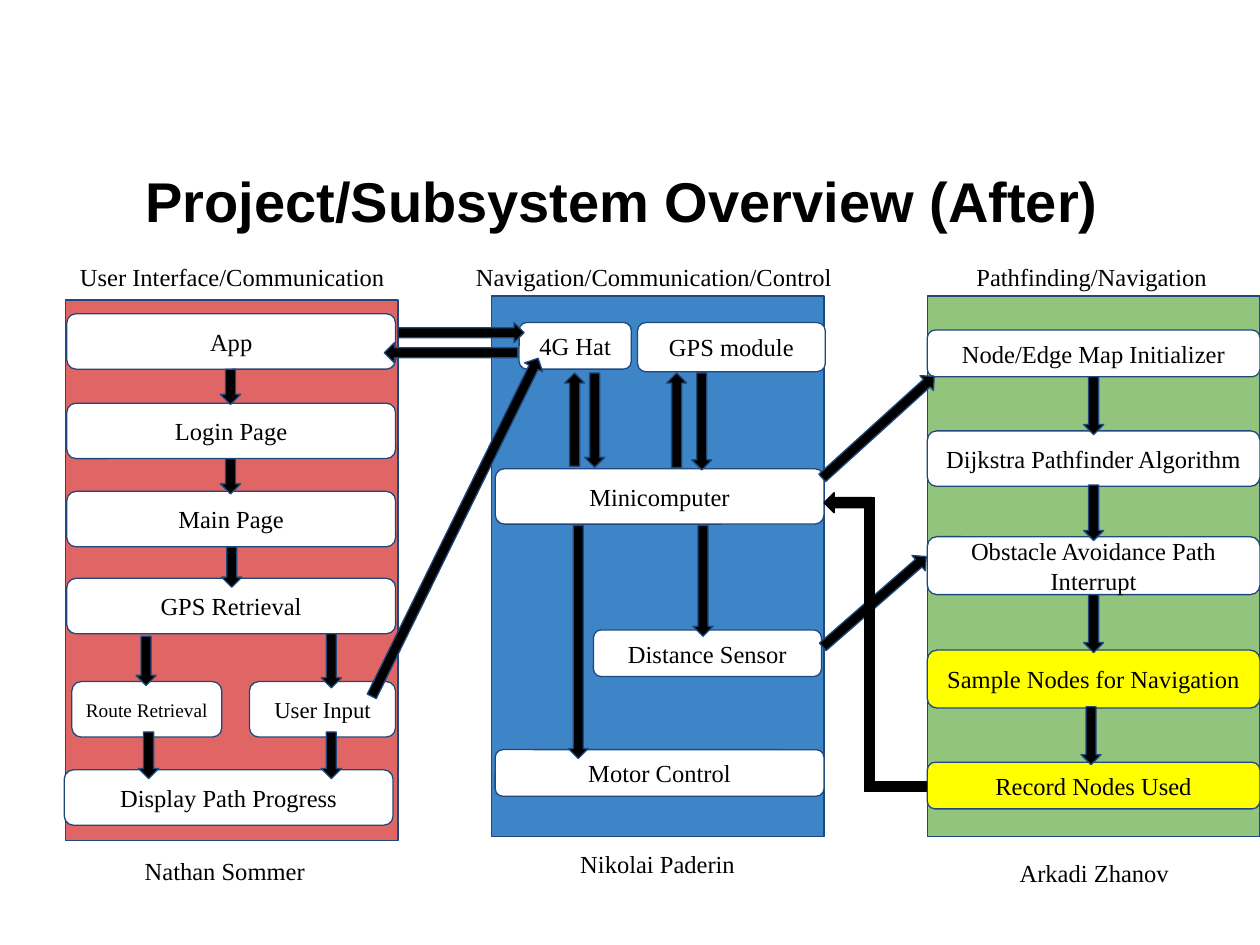
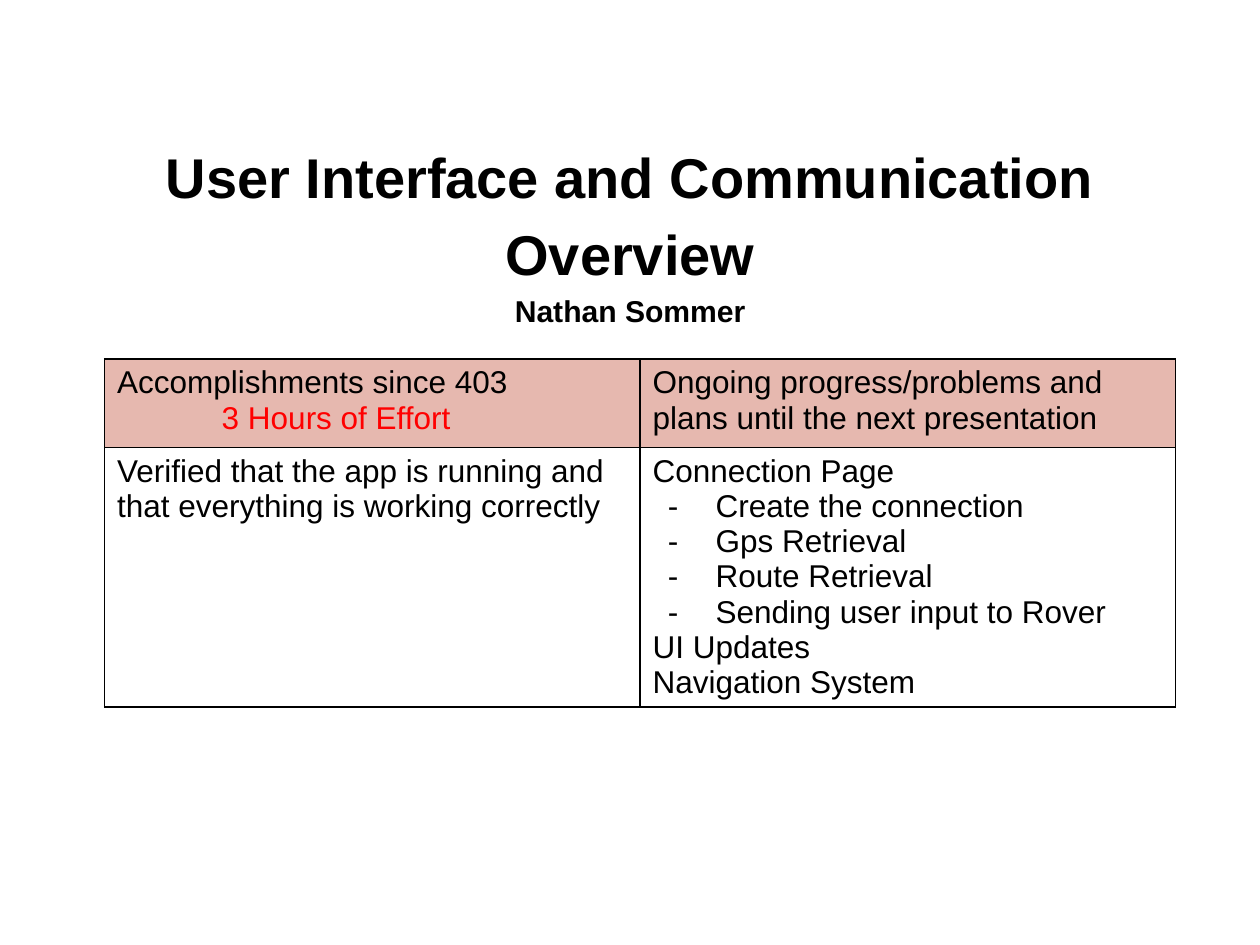
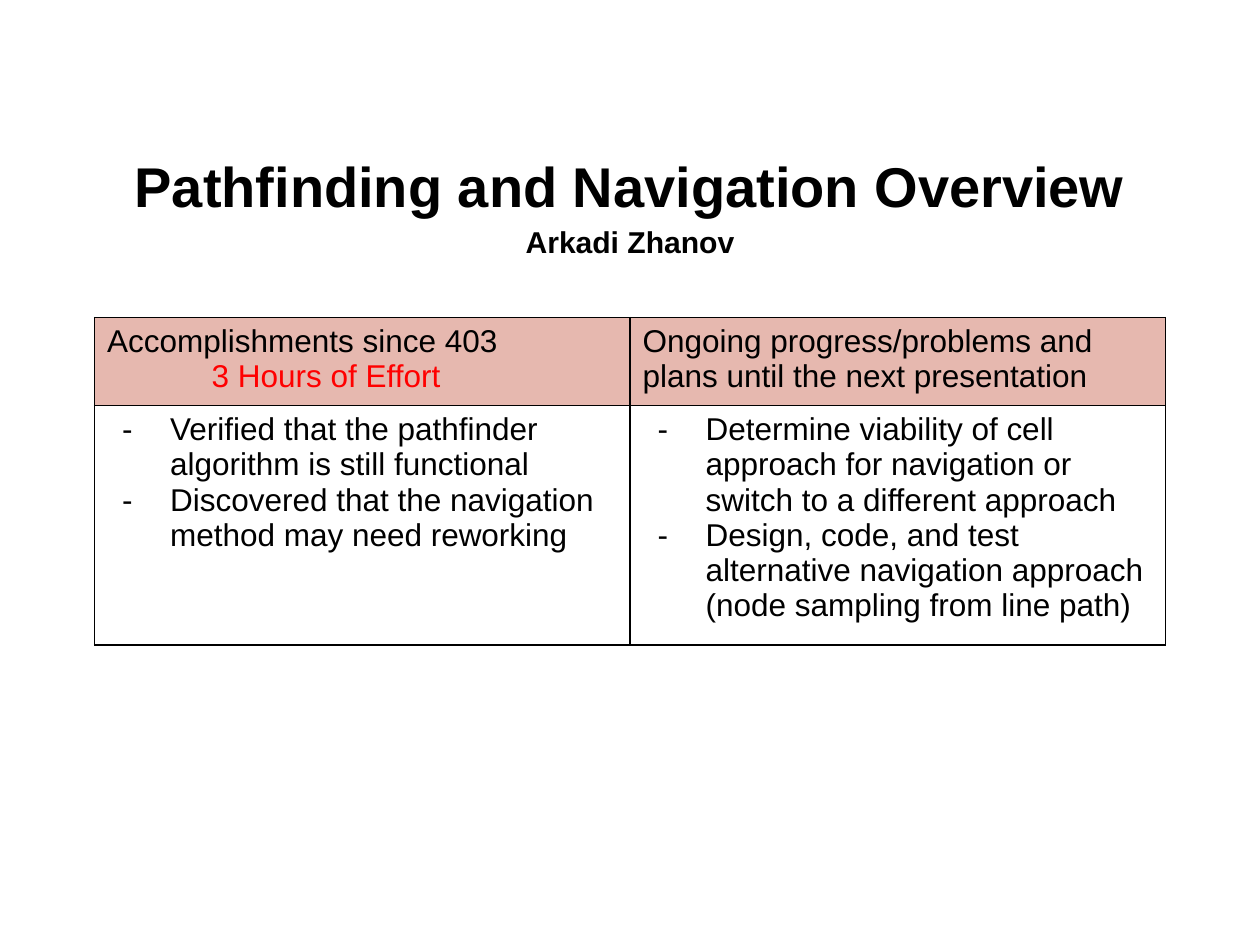
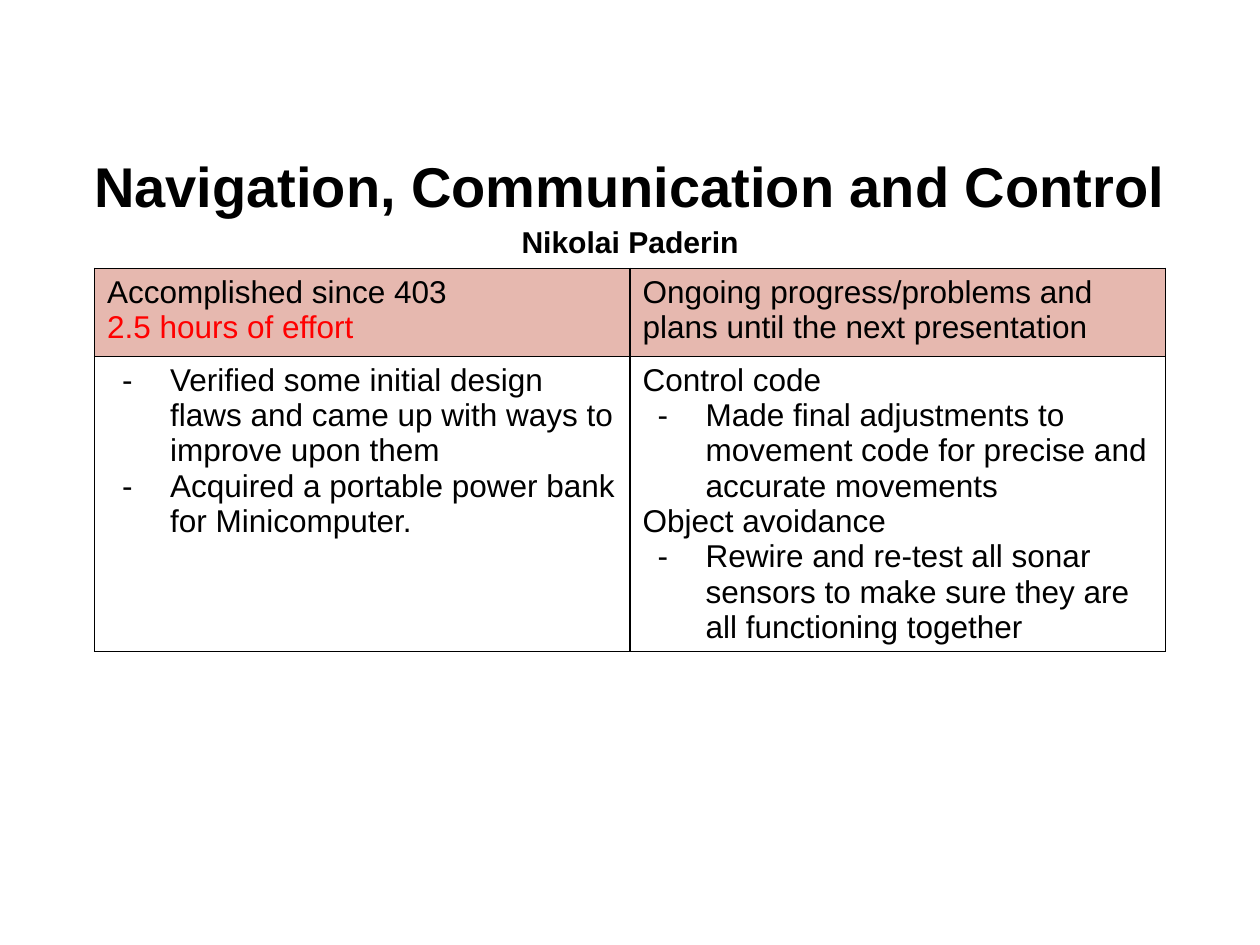
from lxml import etree
from pptx import Presentation
from pptx.dml.color import RGBColor
from pptx.enum.shapes import MSO_SHAPE as Kind
from pptx.enum.text import MSO_ANCHOR as Anchor, MSO_AUTO_SIZE as Fit, PP_ALIGN as Align
from pptx.oxml.ns import qn
from pptx.util import Inches, Pt

BLACK, WHITE, NAVY = "000000", "FFFFFF", "1F497D"
RED, YELLOW, PINK = "FF0000", "FFFF00", "E6B8AF"
SANS, SERIF = "Arial", "Times New Roman"

LANES = [
    ("E06666", 0.52, 2.38),
    ("3D85C6", 3.9, 2.35),
    ("93C47D", 7.36, 2.35),
]
LANE_SIZE = (2.64, 4.29)

LABELS = [
    ("User Interface/Communication", 0.43, 1.98, 2.83),
    ("Navigation/Communication/Control", 3.44, 1.98, 3.5),
    ("Pathfinding/Navigation", 7.36, 1.98, 2.61),
    ("Nathan Sommer", 0.43, 6.69, 2.71),
    ("Nikolai Paderin", 3.9, 6.64, 2.64),
    ("Arkadi Zhanov", 7.38, 6.71, 2.61),
]

STEPS = [
    ("App", 0.53, 2.49, 2.61, 0.44, WHITE, 14),
    ("Login Page", 0.53, 3.2, 2.61, 0.44, WHITE, 14),
    ("Main Page", 0.53, 3.9, 2.61, 0.44, WHITE, 14),
    ("GPS Retrieval", 0.53, 4.59, 2.61, 0.44, WHITE, 14),
    ("Route Retrieval", 0.57, 5.41, 1.19, 0.44, WHITE, 11),
    ("User Input", 1.98, 5.41, 1.16, 0.44, WHITE, 13),
    ("Display Path Progress", 0.51, 6.11, 2.61, 0.44, WHITE, 14),
    ("4G Hat", 4.12, 2.56, 0.89, 0.37, WHITE, 14),
    ("GPS module", 5.06, 2.56, 1.49, 0.39, WHITE, 14),
    ("Minicomputer", 3.93, 3.72, 2.61, 0.44, WHITE, 14),
    ("Distance Sensor", 4.71, 5, 1.81, 0.37, WHITE, 14),
    ("Motor Control", 3.93, 5.95, 2.61, 0.37, WHITE, 14),
    ("Node/Edge Map Initializer", 7.36, 2.62, 2.64, 0.37, WHITE, 14),
    ("Dijkstra Pathfinder Algorithm", 7.36, 3.42, 2.64, 0.44, WHITE, 14),
    ("Obstacle Avoidance Path Interrupt", 7.36, 4.26, 2.64, 0.46, WHITE, 14),
    ("Sample Nodes for Navigation", 7.36, 5.16, 2.64, 0.46, YELLOW, 14),
    ("Record Nodes Used", 7.36, 6.05, 2.64, 0.37, YELLOW, 14),
]

ARROW = 0.16
ARROWS = [
    (1.75, 2.93, 0.28, 0),
    (1.75, 3.64, 0.28, 0),
    (1.76, 4.34, 0.32, 0),
    (1.08, 5.05, 0.39, 0),
    (2.55, 5.03, 0.43, 0),
    (1.1, 5.81, 0.37, 0),
    (2.55, 5.81, 0.37, 0),
    (3.58, 2.14, 1, 270),
    (3.5, 2.27, 1.06, 90),
    (3.53, 2.69, 2.99, 206.2),
    (4.48, 2.96, 0.74, 180),
    (4.64, 2.96, 0.75, 0),
    (5.29, 2.96, 0.75, 180),
    (5.49, 2.96, 0.77, 0),
    (4.51, 4.17, 1.85, 0),
    (5.5, 4.17, 0.88, 0),
    (6.89, 2.79, 1.2, 227.8),
    (6.86, 4.23, 1.09, 228.9),
    (8.6, 2.99, 0.46, 0),
    (8.6, 3.85, 0.44, 0),
    (8.6, 4.72, 0.46, 0),
    (8.58, 5.61, 0.46, 0),
]
LOOP_HEAD = (6.65, 3.8, 0.38, 90)
LOOP_BARS = [(6.86, 3.95, 0.08, 2.25), (6.86, 6.2, 0.49, 0.08)]

PLANS = "Ongoing progress/problems and plans until the next presentation"
REPORTS = [
    {
        "title": "User Interface and Communication Overview",
        "name": "Nathan Sommer",
        "top": 1.39,
        "table": (0.83, 2.85),
        "done": ("Accomplishments since 403", "3 Hours of Effort", 0.83),
        "left": ["Verified that the app is running and that everything is working correctly"],
        "right": [
            "Connection Page",
            "- Create the connection",
            "- Gps Retrieval",
            "- Route Retrieval",
            "- Sending user input to Rover",
            "UI Updates",
            "Navigation System",
        ],
    },
    {
        "title": "Pathfinding and Navigation Overview",
        "name": "Arkadi Zhanov",
        "top": 1.15,
        "table": (0.75, 2.52),
        "done": ("Accomplishments since 403", "3 Hours of Effort", 0.83),
        "left": [
            "- Verified that the pathfinder algorithm is still functional",
            "- Discovered that the navigation method may need reworking",
        ],
        "right": [
            "- Determine viability of cell approach for navigation or switch to a different approach",
            "- Design, code, and test alternative navigation approach (node sampling from line path)",
        ],
    },
    {
        "title": "Navigation, Communication and Control",
        "name": "Nikolai Paderin",
        "top": 1.15,
        "table": (0.75, 2.13),
        "done": ("Accomplished since 403", "2.5 hours of effort", 0),
        "left": [
            "- Verified some initial design flaws and came up with ways to improve upon them",
            "- Acquired a portable power bank for Minicomputer.",
        ],
        "right": [
            "Control code",
            "- Made final adjustments to movement code for precise and accurate movements",
            "Object avoidance",
            "- Rewire and re-test all sonar sensors to make sure they are all functioning together",
        ],
    },
]
COLS = (4.25, 4.25)
ROWS = (0.7, 1.9)


def paint(hue):
    return RGBColor.from_string(hue)


def style(para, size, face, hue=BLACK, bold=False):
    for run in para.runs:
        font = run.font
        font.size, font.name, font.bold = Pt(size), face, bold
        font.color.rgb = paint(hue)


def pad(frame, side, ends):
    frame.margin_left = frame.margin_right = Inches(side)
    frame.margin_top = frame.margin_bottom = Inches(ends)
    frame.word_wrap = True


def add_block(slide, kind, box, fill, line=NAVY, turn=0):
    shape = slide.shapes.add_shape(kind, *map(Inches, box))
    shape.shadow.inherit = False
    shape.fill.solid()
    shape.fill.fore_color.rgb = paint(fill)
    shape.line.color.rgb = paint(line)
    shape.line.width = Pt(0.75)
    shape.rotation = turn
    return shape


def add_arrow(slide, x, y, length, turn, line=NAVY):
    add_block(slide, Kind.DOWN_ARROW, (x, y, ARROW, length), BLACK, line, turn)


def write(frame, text, size):
    frame.text = text
    para = frame.paragraphs[0]
    para.alignment = Align.CENTER
    style(para, size, SERIF)


def add_title(deck, top, lines, space=None):
    slide = deck.slides.add_slide(deck.slide_layouts[5])
    title = slide.shapes.title
    title.left, title.top = Inches(0.5), Inches(top)
    title.width, title.height = Inches(9), Inches(0.88)
    frame = title.text_frame
    frame.text = "\n".join(lines)
    frame.auto_size = Fit.NONE
    frame.vertical_anchor = Anchor.MIDDLE
    pad(frame, 0.1, 0.05)
    for para, size in zip(frame.paragraphs, (32, 17.2)):
        para.alignment = Align.CENTER
        para.line_spacing = space
        style(para, size, SANS, bold=True)
    return slide


def add_edges(cell):
    props = cell._tc.get_or_add_tcPr()
    for side in ("lnL", "lnR", "lnT", "lnB"):
        line = etree.SubElement(props, qn("a:" + side), w=str(Pt(1)))
        fill = etree.SubElement(line, qn("a:solidFill"))
        etree.SubElement(fill, qn("a:srgbClr"), val=BLACK)


def indent(para, left, first=0):
    props = para._p.get_or_add_pPr()
    props.set("marL", str(Inches(left)))
    props.set("indent", str(Inches(first)))
    return props


def add_dash(para):
    props = indent(para, 0.5, -0.38)
    etree.SubElement(props, qn("a:buFont"), typeface=SANS)
    etree.SubElement(props, qn("a:buChar"), char="-")


def fill_cell(cell, lines, fill=None):
    add_edges(cell)
    if fill:
        cell.fill.solid()
        cell.fill.fore_color.rgb = paint(fill)
    else:
        cell.fill.background()
    cell.text_frame.text = "\n".join(line.removeprefix("- ") for line in lines)
    for para, line in zip(cell.text_frame.paragraphs, lines):
        style(para, 18, SANS)
        if line.startswith("- "):
            add_dash(para)


def add_flow(deck):
    slide = add_title(deck, 1.15, ["Project/Subsystem Overview (After) "])
    for fill, x, y in LANES:
        add_block(slide, Kind.RECTANGLE, (x, y, *LANE_SIZE), fill)
    for text, x, y, wide, high, fill, size in STEPS:
        step = add_block(slide, Kind.ROUNDED_RECTANGLE, (x, y, wide, high), fill)
        step.text_frame.vertical_anchor = Anchor.MIDDLE
        pad(step.text_frame, 0.05, 0)
        write(step.text_frame, text, size)
    for text, x, y, wide in LABELS:
        label = slide.shapes.add_textbox(*map(Inches, (x, y, wide, 0.44)))
        pad(label.text_frame, 0.1, 0.1)
        write(label.text_frame, text, 14)
    for arrow in ARROWS:
        add_arrow(slide, *arrow)
    add_arrow(slide, *LOOP_HEAD, line=BLACK)
    for bar in LOOP_BARS:
        add_block(slide, Kind.RECTANGLE, bar, BLACK, BLACK)


def add_report(deck, report):
    slide = add_title(deck, report["top"], [report["title"], report["name"]], 1.15)
    box = (*report["table"], sum(COLS), sum(ROWS))
    table = slide.shapes.add_table(2, 2, *map(Inches, box)).table
    table.first_row = table.horz_banding = False
    for col, wide in zip(table.columns, COLS):
        col.width = Inches(wide)
    for row, high in zip(table.rows, ROWS):
        row.height = Inches(high)
    head, hours, left = report["done"]
    fill_cell(table.cell(0, 0), [head, hours], PINK)
    fill_cell(table.cell(0, 1), [PLANS], PINK)
    fill_cell(table.cell(1, 0), report["left"])
    fill_cell(table.cell(1, 1), report["right"])
    effort = table.cell(0, 0).text_frame.paragraphs[1]
    style(effort, 18, SANS, RED)
    indent(effort, left)


def main():
    deck = Presentation()
    deck.slide_width, deck.slide_height = Inches(10), Inches(7.5)
    add_flow(deck)
    for report in REPORTS:
        add_report(deck, report)
    deck.save("out.pptx")


if __name__ == "__main__":
    main()
